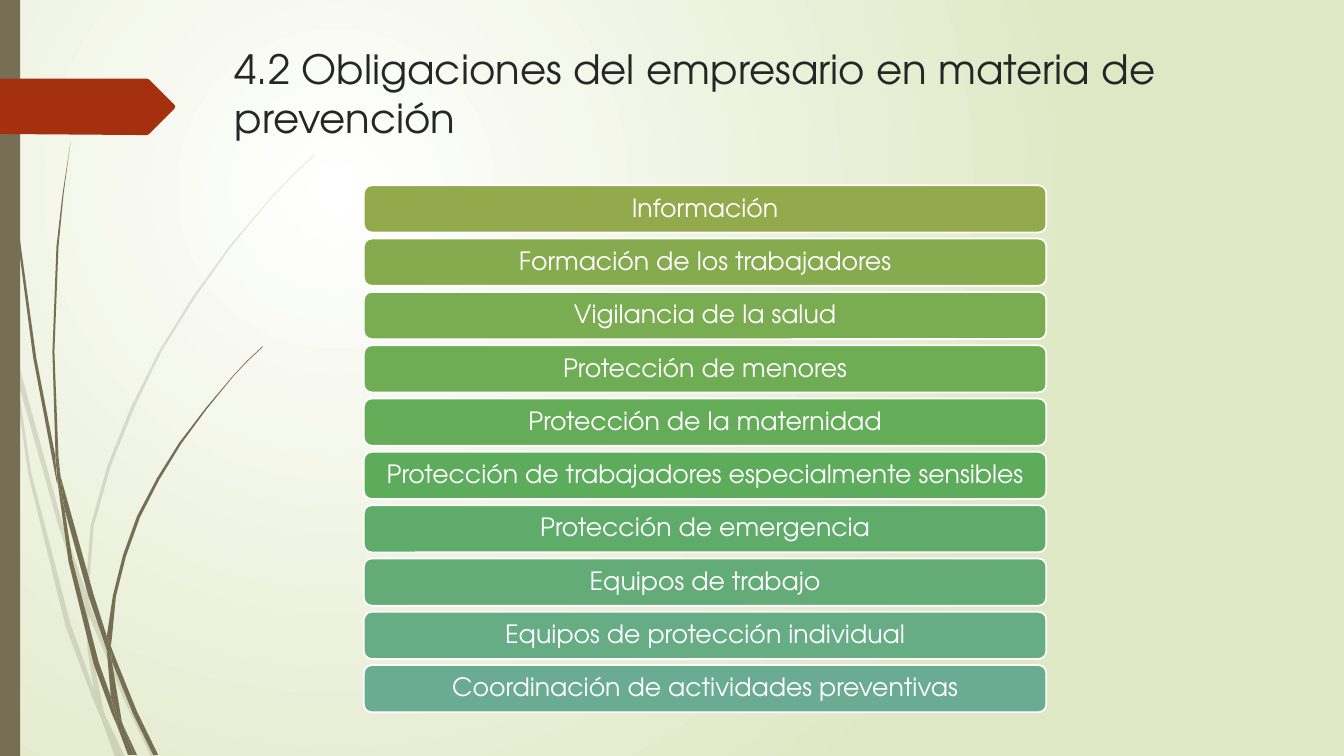
from lxml import etree
from pptx import Presentation
from pptx import util as u
from pptx.dml.color import RGBColor
from pptx.enum import shapes, text
from pptx.oxml import ns

FONT = "TeX Gyre Adventor"
WHITE = RGBColor(0xFF, 0xFF, 0xFF)
PALE_GREEN = RGBColor(0xDF, 0xE8, 0xC4)
BROWN = RGBColor(0x76, 0x6F, 0x54)
RUST = RGBColor(0xA5, 0x30, 0x10)
INK = RGBColor(0x26, 0x26, 0x26)

GRID = u.Cm(0.0254)
SLIDE_BOX = (0, 0, u.Cm(33.87), u.Cm(19.05))
STRIPE_BOX = (0, 0, u.Cm(0.51), u.Cm(19.05))
TITLE_BOX = (u.Cm(5.66), u.Cm(0.99), u.Cm(24.26), u.Cm(3.68))
DUTIES_BOX = (u.Cm(9.17), u.Cm(4.67), u.Cm(17.2), u.Cm(13.28))
BAR_HEIGHT = u.Cm(1.19)

TITLE = "4.2 Obligaciones del empresario en materia de prevención"
DUTIES = [
    ("Información", RGBColor(0x92, 0xAA, 0x4C)),
    ("Formación de los trabajadores", RGBColor(0x86, 0xAB, 0x4E)),
    ("Vigilancia de la salud", RGBColor(0x7A, 0xAC, 0x51)),
    ("Protección de menores", RGBColor(0x6F, 0xAD, 0x54)),
    ("Protección de la maternidad", RGBColor(0x65, 0xAC, 0x58)),
    ("Protección de trabajadores especialmente sensibles", RGBColor(0x5C, 0xAC, 0x5C)),
    ("Protección de emergencia", RGBColor(0x5F, 0xAC, 0x6A)),
    ("Equipos de trabajo", RGBColor(0x63, 0xAC, 0x78)),
    ("Equipos de protección individual", RGBColor(0x66, 0xAC, 0x85)),
    ("Coordinación de actividades preventivas", RGBColor(0x6A, 0xAC, 0x91)),
]

PALE_BLADES = [
    [(11, 350), (9, 322), (0, 282), (0, 299), (10, 344)],
    [(58, 522), (84, 599), (85, 586), (62, 520), (14, 345), (17, 376)],
    [(92, 607), (88, 596), (88, 610), (123, 694), (150, 751), (155, 751), (127, 692)],
    [(119, 751), (124, 751), (105, 711)],
    [(93, 683), (70, 619), (31, 469), (17, 376), (11, 350), (28, 470), (65, 621),
     (92, 693), (101, 714), (99, 707)],
    [(84, 599), (87, 646), (93, 683), (96, 692), (105, 711), (103, 706), (91, 646),
     (88, 610), (88, 608)],
    [(88, 584), (93, 522), (110, 462), (133, 405), (160, 349), (193, 296), (229, 245),
     (268, 198), (290, 175), (312, 154), (312, 153), (289, 175), (268, 197), (228, 244),
     (191, 295), (158, 348), (130, 404), (107, 461), (90, 521), (85, 584), (85, 586),
     (88, 596)],
    [(101, 714), (114, 751), (119, 751)],
    [(88, 608), (88, 610), (88, 596), (85, 586), (84, 599)],
    [(96, 692), (93, 683), (99, 707), (101, 714), (119, 751), (105, 711)],
]
DARK_BLADES = [
    [(7, 110), (17, 233), (33, 355), (56, 477), (57, 481), (55, 457), (55, 453),
     (36, 355), (19, 232), (8, 109), (5, 48), (4, 0), (3, 0), (4, 48)],
    [(88, 592), (106, 645), (106, 633), (106, 631), (93, 590), (60, 472), (64, 505)],
    [(113, 649), (110, 641), (111, 656), (132, 708), (152, 749), (157, 749), (136, 706)],
    [(110, 691), (98, 657), (72, 556), (64, 505), (57, 477), (68, 557), (93, 659),
     (111, 708), (117, 722), (116, 717)],
    [(60, 472), (58, 453), (54, 349), (58, 245), (63, 193), (70, 141), (62, 193),
     (56, 245), (52, 349), (55, 449)],
    [(133, 749), (136, 749), (122, 719)],
    [(57, 477), (64, 505), (60, 472), (55, 449), (55, 453)],
    [(111, 633), (115, 592), (125, 552), (139, 513), (158, 476), (180, 440), (205, 406),
     (231, 374), (245, 359), (261, 344), (260, 344), (245, 358), (231, 373), (204, 405),
     (178, 439), (156, 474), (136, 512), (122, 551), (112, 591), (106, 631), (110, 641)],
    [(117, 722), (127, 749), (131, 749)],
    [(106, 645), (110, 691), (116, 706), (122, 719), (121, 716), (111, 656), (109, 651)],
    [(106, 645), (109, 651), (111, 656), (110, 641), (106, 631), (106, 633)],
    [(116, 706), (110, 691), (116, 717), (117, 722), (130, 749), (133, 749), (122, 719)],
]
TAB = [(0, 78), (136, 78), (146, 78), (148, 79), (173, 104), (174, 106), (173, 108),
       (148, 133), (146, 134), (136, 134), (0, 133)]


def set_all(obj, values):
    """Set every attribute named in the dict on the object."""
    for name, value in values.items():
        setattr(obj, name, value)


def paint(sp, color):
    """Give a shape a flat fill with no shadow and no outline."""
    sp.shadow.inherit = False
    sp.fill.solid()
    sp.fill.fore_color.rgb = color
    sp.line.fill.background()


def write(tf, words, color, size, paragraph):
    """Write one formatted run into the first paragraph of a text frame."""
    p = tf.paragraphs[0]
    set_all(p, paragraph)
    r = p.add_run()
    r.text = words
    set_all(r.font, {"name": FONT, "size": u.Pt(size)})
    r.font.color.rgb = color


def add_outline(parent, box, points, color):
    """Draw a closed outline on the grid that starts at the box corner."""
    builder = parent.build_freeform(*points[0], scale=GRID)
    builder.add_line_segments(points[1:], close=True)
    sp = builder.convert_to_shape(box[0], box[1])
    paint(sp, color)
    return sp


def add_blades(s, box, blades, opacity):
    """Draw one group of grass blades in the box."""
    group = s.shapes.add_group_shape()
    for points in blades:
        sp = add_outline(group.shapes, box, points, BROWN)
        if opacity < 100:
            tint = sp.fill._xPr.find(".//" + ns.qn("a:srgbClr"))
            etree.SubElement(tint, ns.qn("a:alpha"), val=str(opacity * 1000))


def add_background(s):
    """Fill the background with a round glow in the upper left."""
    fill = s.background.fill
    fill.gradient()
    for stop, color in zip(fill.gradient_stops, (WHITE, PALE_GREEN)):
        stop.color.rgb = color
    grad = s.background._cSld.find(".//" + ns.qn("a:gradFill"))
    grad.remove(grad.find(ns.qn("a:lin")))
    glow = etree.SubElement(grad, ns.qn("a:path"), {"path": "circle"})
    etree.SubElement(glow, ns.qn("a:fillToRect"),
                     l="50000", t="50000", r="100000", b="100000")


def add_decoration(s, box):
    """Draw the grass, the side stripe and the rust tab."""
    add_blades(s, box, PALE_BLADES, 20)
    add_blades(s, box, DARK_BLADES, 100)
    paint(s.shapes.add_shape(shapes.MSO_SHAPE.RECTANGLE, *STRIPE_BOX), BROWN)
    add_outline(s.shapes, box, TAB, RUST)


def add_title(s, box):
    """Place and format the title placeholder in the box."""
    sp = s.shapes.title
    set_all(sp, dict(zip(("left", "top", "width", "height"), box)))
    set_all(sp.text_frame, {"word_wrap": True, "auto_size": text.MSO_AUTO_SIZE.NONE,
                            "vertical_anchor": text.MSO_ANCHOR.TOP})
    write(sp.text_frame, TITLE, INK, 28.8, {"alignment": text.PP_ALIGN.LEFT})


def add_duties(s, box):
    """Stack one bar per duty evenly over the height of the box."""
    left, top, width, height = box
    step = (height - BAR_HEIGHT) / (len(DUTIES) - 1)
    inset = u.Cm(0.18)
    for i, (duty, color) in enumerate(DUTIES):
        sp = s.shapes.add_shape(shapes.MSO_SHAPE.ROUNDED_RECTANGLE, left,
                                round(top + i * step), width, BAR_HEIGHT)
        paint(sp, color)
        sp.line.color.rgb = WHITE
        sp.line.width = u.Pt(1.25)
        set_all(sp.text_frame, {
            "word_wrap": True, "vertical_anchor": text.MSO_ANCHOR.MIDDLE,
            "margin_left": inset, "margin_right": inset,
            "margin_top": inset, "margin_bottom": inset})
        write(sp.text_frame, duty, WHITE, 18,
              {"alignment": text.PP_ALIGN.CENTER, "line_spacing": 0.9})


def main():
    """Build the slide and save it."""
    prs = Presentation()
    set_all(prs, {"slide_width": SLIDE_BOX[2], "slide_height": SLIDE_BOX[3]})
    s = prs.slides.add_slide(prs.slide_layouts[5])
    add_background(s)
    add_decoration(s, SLIDE_BOX)
    add_title(s, TITLE_BOX)
    add_duties(s, DUTIES_BOX)
    prs.save("out.pptx")


if __name__ == "__main__":
    main()
